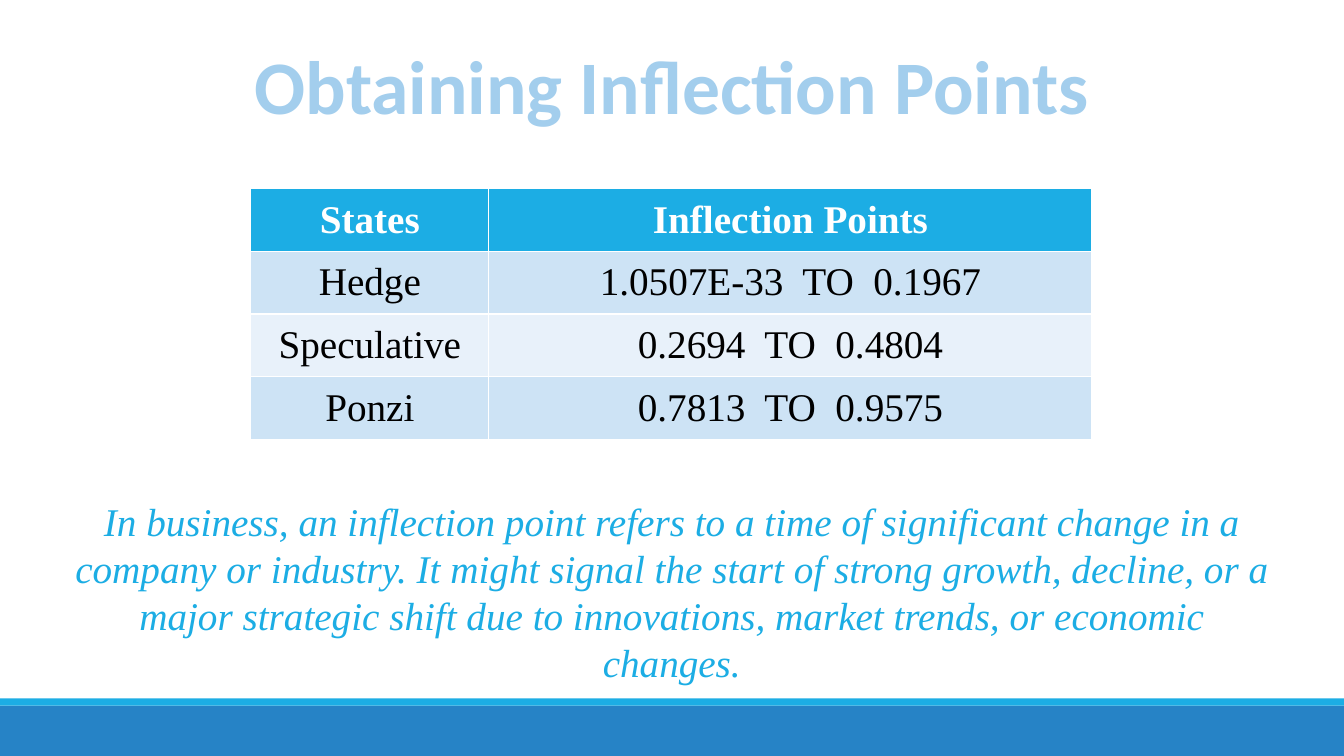
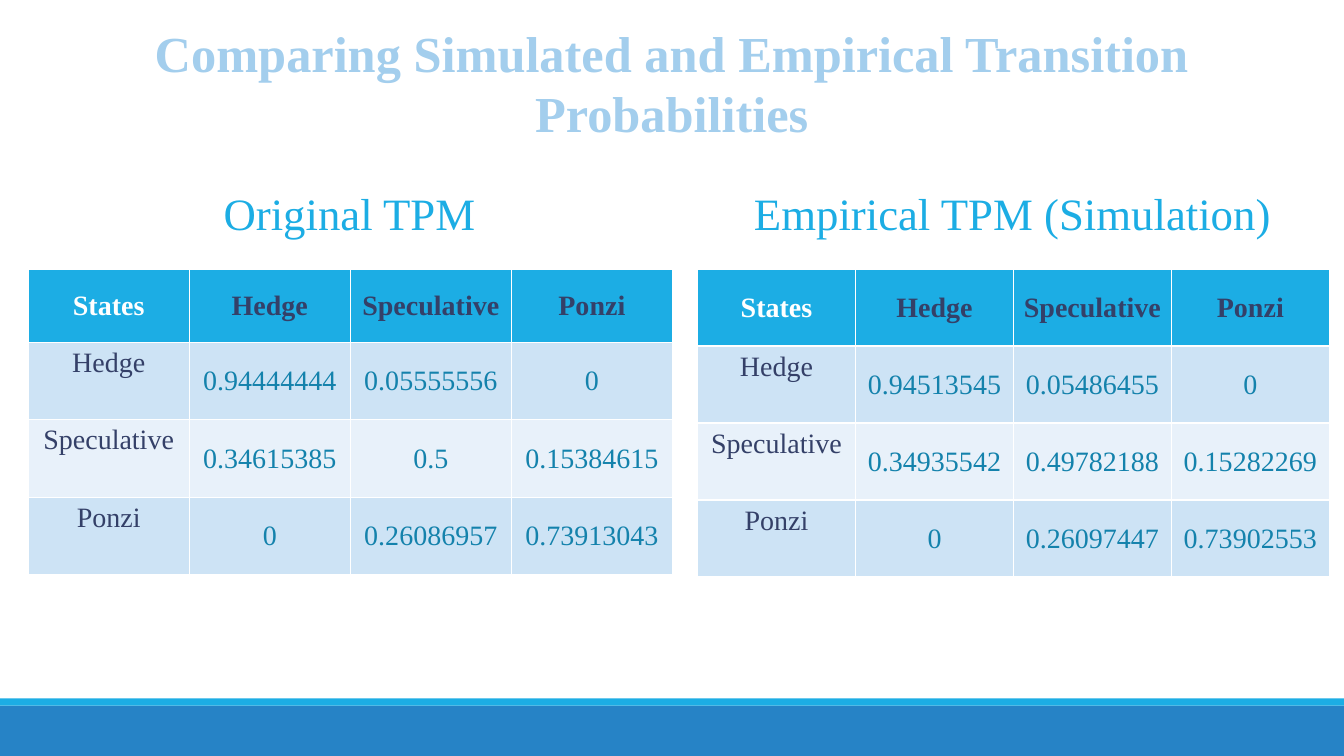
from pptx import Presentation
from pptx.dml.color import RGBColor
from pptx.enum.shapes import MSO_SHAPE
from pptx.enum.text import MSO_ANCHOR, PP_ALIGN
from pptx.util import Cm, Pt

RECTANGLE = MSO_SHAPE.RECTANGLE
CENTER = PP_ALIGN.CENTER
TOP, MIDDLE = MSO_ANCHOR.TOP, MSO_ANCHOR.MIDDLE

WHITE = RGBColor(0xFF, 0xFF, 0xFF)
BLACK = RGBColor(0x00, 0x00, 0x00)
BLUE = RGBColor(0x26, 0x83, 0xC6)
CYAN = RGBColor(0x1C, 0xAD, 0xE4)
PALE_BLUE = RGBColor(0xA3, 0xCE, 0xED)
NAVY = RGBColor(0x34, 0x40, 0x68)
TEAL = RGBColor(0x14, 0x82, 0xAC)
ROW_FILLS = (RGBColor(0xCD, 0xE3, 0xF5), RGBColor(0xE8, 0xF1, 0xFA))

SERIF, SANS = "Times New Roman", "Calibri"
SLIDE_WIDTH, SLIDE_HEIGHT = 33.87, 19.05


def write(frame, text, size=28, color=CYAN, font=SERIF, bold=False, italic=False):
    paragraph = frame.paragraphs[0]
    paragraph.alignment = CENTER
    run = paragraph.add_run()
    run.text = text
    run.font.name = font
    run.font.size = Pt(size)
    run.font.bold = bold
    run.font.italic = italic
    run.font.color.rgb = color


class Deck:
    def __init__(self):
        self.presentation = Presentation()
        self.presentation.slide_width = Cm(SLIDE_WIDTH)
        self.presentation.slide_height = Cm(SLIDE_HEIGHT)
        self.slide = None

    def new_slide(self):
        blank = self.presentation.slide_layouts[6]
        self.slide = self.presentation.slides.add_slide(blank)
        self.band(17.78, 1.27, BLUE)
        self.band(17.6, 0.18, CYAN)

    def band(self, top, height, color):
        band = self.slide.shapes.add_shape(
            RECTANGLE, 0, Cm(top), Cm(SLIDE_WIDTH), Cm(height))
        band.shadow.inherit = False
        band.fill.solid()
        band.fill.fore_color.rgb = color
        band.line.fill.background()

    def text(self, box, text, wrap=True, **style):
        frame = self.slide.shapes.add_textbox(*map(Cm, box)).text_frame
        frame.word_wrap = wrap
        write(frame, text, **style)

    def title(self, box, text, **style):
        self.text(box, text, color=PALE_BLUE, bold=True, **style)

    def table(self, left, top, widths, heights, rows, size,
              header_color, state_color, value_color, state_anchor=MIDDLE):
        table = self.slide.shapes.add_table(
            len(rows), len(widths), Cm(left), Cm(top),
            Cm(sum(widths)), Cm(sum(heights))).table
        for column, width in zip(table.columns, widths):
            column.width = Cm(width)
        for row, height in zip(table.rows, heights):
            row.height = Cm(height)
        for r, values in enumerate(rows):
            for c, value in enumerate(values):
                cell = table.cell(r, c)
                cell.margin_left = cell.margin_right = Cm(0.1)
                is_header, is_state = r == 0, c == 0
                cell.fill.solid()
                cell.fill.fore_color.rgb = CYAN if is_header else ROW_FILLS[(r - 1) % 2]
                if is_header:
                    color = WHITE if is_state else header_color
                else:
                    color = state_color if is_state else value_color
                cell.vertical_anchor = (
                    state_anchor if is_state and not is_header else MIDDLE)
                write(cell.text_frame, value, size=size, color=color, bold=is_header)


def inflection_points(deck):
    deck.new_slide()
    deck.table(
        6.32, 4.75, [6, 15.2], [1.58] * 4,
        [("States", "Inflection Points"),
         ("Hedge", "1.0507E-33  TO  0.1967"),
         ("Speculative", "0.2694  TO  0.4804"),
         ("Ponzi", "0.7813  TO  0.9575")],
        size=28, header_color=WHITE, state_color=BLACK, value_color=BLACK)
    deck.title((6.05, 0.86, 21.77, 2.57), "Obtaining Inflection Points",
               wrap=False, size=54, font=SANS)
    deck.text(
        (1.55, 12.4, 30.76, 5.05),
        "In business, an inflection point refers to a time of significant change "
        "in a company or industry. It might signal the start of strong growth, "
        "decline, or a major strategic shift due to innovations, market trends, "
        "or economic changes.", italic=True)


def transition_probabilities(deck):
    deck.new_slide()
    deck.title((0.71, 0.43, 32.44, 3.43),
               "Comparing Simulated and Empirical Transition Probabilities", size=36)
    states = ("Hedge", "Speculative", "Ponzi")
    original = [("0.94444444", "0.05555556", "0"),
                ("0.34615385", "0.5", "0.15384615"),
                ("0", "0.26086957", "0.73913043")]
    empirical = [("0.94513545", "0.05486455", "0"),
                 ("0.34935542", "0.49782188", "0.15282269"),
                 ("0", "0.26097447", "0.73902553")]
    matrices = [
        ("Original TPM", 5.36, 6.9, 0.71, 4.06, [1.85] + [1.95] * 3, original),
        ("Empirical TPM (Simulation)", 18.69, 13.66, 17.58, 3.98, [1.94] * 4, empirical),
    ]
    for heading, text_left, text_width, left, column, heights, matrix in matrices:
        rows = [("States", *states)]
        rows += [(state, *values) for state, values in zip(states, matrix)]
        deck.table(left, 6.78, [column] * 4, heights, rows, size=20,
                   header_color=NAVY, state_color=NAVY, value_color=TEAL,
                   state_anchor=TOP)
        deck.text((text_left, 4.55, text_width, 1.63), heading, wrap=False, size=32)


def main():
    deck = Deck()
    inflection_points(deck)
    transition_probabilities(deck)
    deck.presentation.save("out.pptx")


if __name__ == "__main__":
    main()
